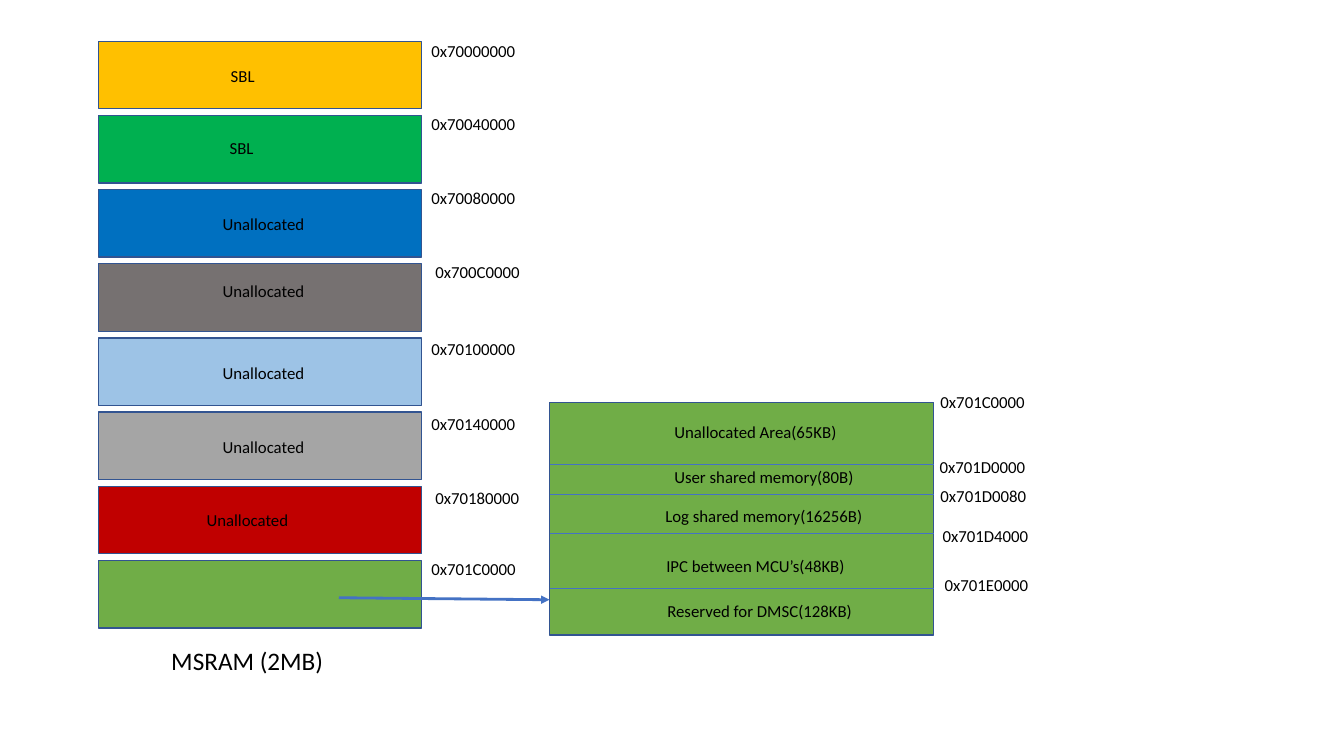
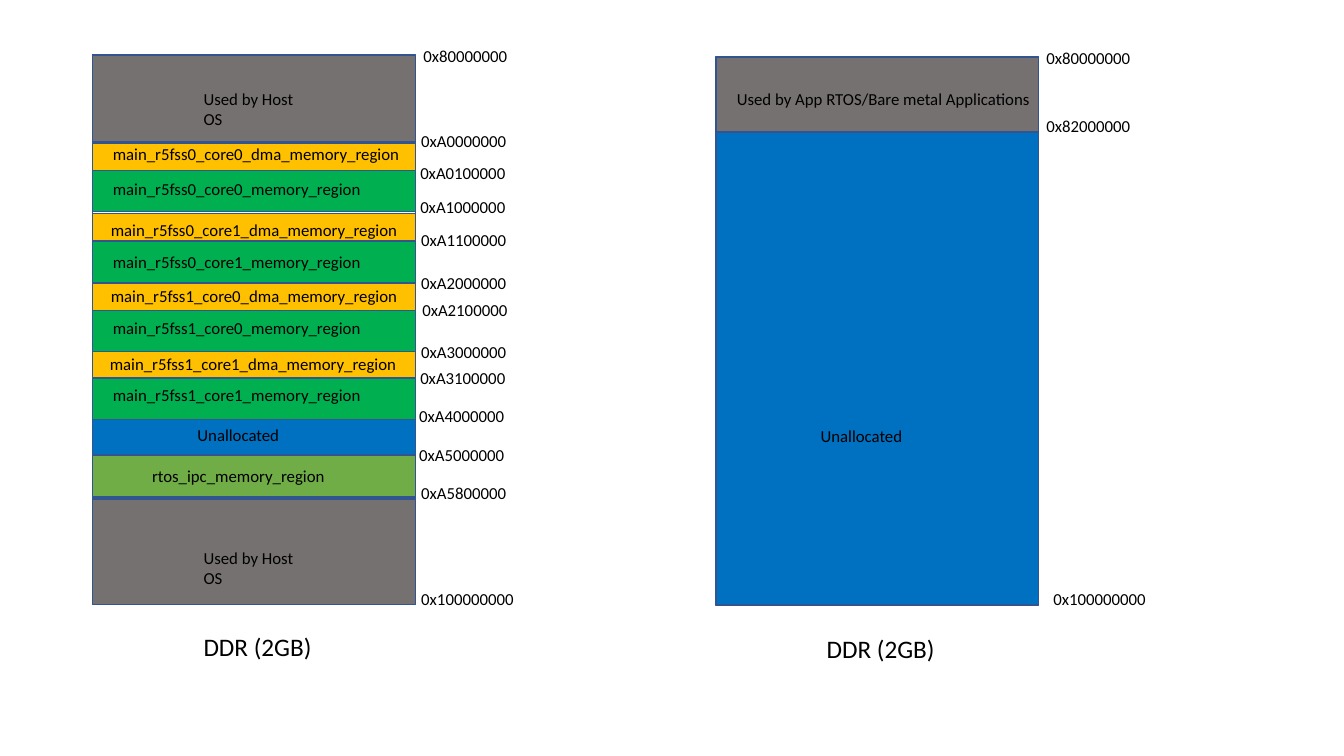
from dataclasses import dataclass

from lxml.etree import SubElement
from pptx import Presentation
from pptx.dml.color import RGBColor
from pptx.enum.shapes import MSO_CONNECTOR, MSO_SHAPE
from pptx.enum.text import MSO_ANCHOR, MSO_AUTO_SIZE, PP_ALIGN
from pptx.oxml.ns import qn
from pptx.util import Inches, Pt


@dataclass(frozen=True)
class Theme:
    font: str = "Calibri"
    label_size: int = 12
    caption_size: int = 18
    text: str = "000000"
    outline: str = "325491"
    accent: str = "4472C4"
    amber: str = "FFC000"
    green: str = "00B050"
    blue: str = "0070C0"
    slate: str = "767171"
    sky: str = "9DC3E6"
    silver: str = "A5A5A5"
    red: str = "C00000"
    olive: str = "70AD47"
    band_width: float = 3.2


T = Theme()


class MemoryMap:
    """Draws memory maps on the current slide in one shared style."""

    def __init__(self, prs):
        self.prs = prs
        self.s = None

    def new_slide(self):
        self.s = self.prs.slides.add_slide(self.prs.slide_layouts[6])

    def box(self, x, y, w, h, fill=None):
        sp = self.s.shapes.add_shape(
            MSO_SHAPE.RECTANGLE, Inches(x), Inches(y), Inches(w), Inches(h))
        sp.shadow.inherit = False
        if fill:
            sp.fill.solid()
            sp.fill.fore_color.rgb = RGBColor.from_string(fill)
        else:
            sp.fill.background()
        sp.line.color.rgb = RGBColor.from_string(T.outline)
        sp.line.width = Pt(1)

    def bands(self, x, rows):
        for y, h, fill in rows:
            self.box(x, y, T.band_width, h, fill)

    def text(self, x, y, w, text, size=T.label_size, h=0.3):
        sp = self.s.shapes.add_textbox(
            Inches(x), Inches(y), Inches(w), Inches(h))
        tf = sp.text_frame
        tf.word_wrap = False
        tf.auto_size = MSO_AUTO_SIZE.SHAPE_TO_FIT_TEXT
        tf.vertical_anchor = MSO_ANCHOR.TOP
        p = tf.paragraphs[0]
        p.text = text
        p.alignment = PP_ALIGN.LEFT
        p.font.name = T.font
        p.font.size = Pt(size)
        p.font.color.rgb = RGBColor.from_string(T.text)

    def names(self, rows):
        for x, y, w, name in rows:
            self.text(x, y, w, name)

    def addresses(self, rows):
        for x, y, address in rows:
            self.text(x, y, 1.06 if len(address) == 10 else 1.13, address)

    def caption(self, x, y, w, text):
        self.text(x, y, w, text, T.caption_size, 0.4)

    def line(self, x1, y1, x2, y2, width, arrow=False):
        c = self.s.shapes.add_connector(
            MSO_CONNECTOR.STRAIGHT,
            Inches(x1), Inches(y1), Inches(x2), Inches(y2))
        c.line.color.rgb = RGBColor.from_string(T.accent)
        c.line.width = Pt(width)
        if arrow:
            SubElement(c.line._get_or_add_ln(), qn("a:tailEnd"), type="triangle")
        SubElement(c._element.spPr, qn("a:effectLst"))


def msram_slide(m):
    m.new_slide()
    fills = (T.amber, T.green, T.blue, T.slate, T.sky, T.silver, T.red, T.olive)
    top, last_top = 0.41, 5.56
    pitch = (last_top - top) / (len(fills) - 1)
    m.bands(0.98, [(top + i * pitch, 0.67, f) for i, f in enumerate(fills)])
    m.addresses([
        (4.18, 0.36, "0x70000000"),
        (4.18, 1.08, "0x70040000"),
        (4.18, 1.81, "0x70080000"),
        (4.22, 2.55, "0x700C0000"),
        (4.18, 3.31, "0x70100000"),
        (4.18, 4.06, "0x70140000"),
        (4.22, 4.79, "0x70180000"),
        (4.18, 5.49, "0x701C0000"),
    ])
    m.names([
        (2.19, 0.6, 0.44, "SBL"),
        (2.18, 1.32, 0.44, "SBL"),
        (2.11, 2.07, 1.02, "Unallocated"),
        (2.11, 2.74, 1.02, "Unallocated"),
        (2.11, 3.55, 1.02, "Unallocated"),
        (2.11, 4.28, 1.02, "Unallocated"),
        (1.95, 5.01, 1.02, "Unallocated"),
    ])
    m.caption(1.6, 6.35, 1.72, "MSRAM (2MB)")

    left, width = 5.45, 3.81
    m.box(left, 3.99, width, 2.31, T.olive)
    m.line(3.36, 5.93, left, 5.95, 2, arrow=True)
    for y in (4.61, 4.9, 5.29, 5.84):
        m.line(left, y, left + width, y, 0.5)
    m.names([
        (6.59, 4.13, 1.83, "Unallocated Area(65KB)"),
        (6.59, 4.58, 2, "User shared memory(80B)"),
        (6.5, 4.97, 2.18, "Log shared memory(16256B)"),
        (6.51, 5.46, 1.99, "IPC between MCU’s(48KB)"),
        (6.52, 5.91, 2.05, "Reserved for DMSC(128KB)"),
    ])
    m.addresses([
        (9.23, 3.84, "0x701C0000"),
        (9.22, 4.48, "0x701D0000"),
        (9.23, 4.77, "0x701D0080"),
        (9.25, 5.17, "0x701D4000"),
        (9.27, 5.65, "0x701E0000"),
    ])


def ddr_slide(m):
    m.new_slide()
    left = 0.92
    m.box(left, 0.54, T.band_width, 5.45)
    m.bands(left, [(y, 0.27, T.amber) for y in (1.42, 2.12, 2.81, 3.48)])
    m.bands(left, [(y, 0.41, T.green) for y in (1.69, 2.39, 3.08, 3.75)])
    m.bands(left, [
        (0.55, 0.86, T.slate),
        (4.16, 0.35, T.blue),
        (4.52, 0.41, T.olive),
        (4.95, 1.05, T.slate),
    ])
    m.names([
        (1.92, 0.83, 1.15, "Used by Host OS"),
        (1.02, 1.38, 3.08, "main_r5fss0_core0_dma_memory_region"),
        (1.02, 1.72, 2.69, "main_r5fss0_core0_memory_region"),
        (1, 2.13, 3.08, "main_r5fss0_core1_dma_memory_region"),
        (1.02, 2.45, 2.69, "main_r5fss0_core1_memory_region"),
        (1, 2.79, 3.08, "main_r5fss1_core0_dma_memory_region"),
        (1.02, 3.1, 2.69, "main_r5fss1_core0_memory_region"),
        (0.99, 3.46, 3.08, "main_r5fss1_core1_dma_memory_region"),
        (1.02, 3.77, 2.69, "main_r5fss1_core1_memory_region"),
        (1.86, 4.16, 1.02, "Unallocated"),
        (1.41, 4.57, 1.93, "rtos_ipc_memory_region"),
        (1.92, 5.38, 1.15, "Used by Host OS"),
    ])
    m.addresses([
        (4.1, 0.4, "0x80000000"),
        (4.08, 1.25, "0xA0000000"),
        (4.07, 1.57, "0xA0100000"),
        (4.07, 1.9, "0xA1000000"),
        (4.08, 2.23, "0xA1100000"),
        (4.08, 2.66, "0xA2000000"),
        (4.09, 2.92, "0xA2100000"),
        (4.08, 3.34, "0xA3000000"),
        (4.07, 3.6, "0xA3100000"),
        (4.06, 3.98, "0xA4000000"),
        (4.06, 4.36, "0xA5000000"),
        (4.08, 4.74, "0xA5800000"),
        (4.08, 5.79, "0x100000000"),
    ])
    m.caption(1.92, 6.21, 1.29, "DDR (2GB)")

    left = 7.1
    m.box(left, 0.56, T.band_width, 5.45)
    m.bands(left, [(0.57, 0.74, T.slate), (1.31, 4.69, T.blue)])
    m.names([
        (7.21, 0.83, 3.14, "Used by App RTOS/Bare metal Applications"),
        (8.04, 4.17, 1.02, "Unallocated"),
    ])
    m.addresses([
        (10.28, 0.42, "0x80000000"),
        (10.28, 1.1, "0x82000000"),
        (10.35, 5.79, "0x100000000"),
    ])
    m.caption(8.1, 6.23, 1.29, "DDR (2GB)")


def main():
    prs = Presentation()
    prs.slide_width, prs.slide_height = Inches(13.33), Inches(7.5)
    m = MemoryMap(prs)
    msram_slide(m)
    ddr_slide(m)
    prs.save("out.pptx")


if __name__ == "__main__":
    main()
